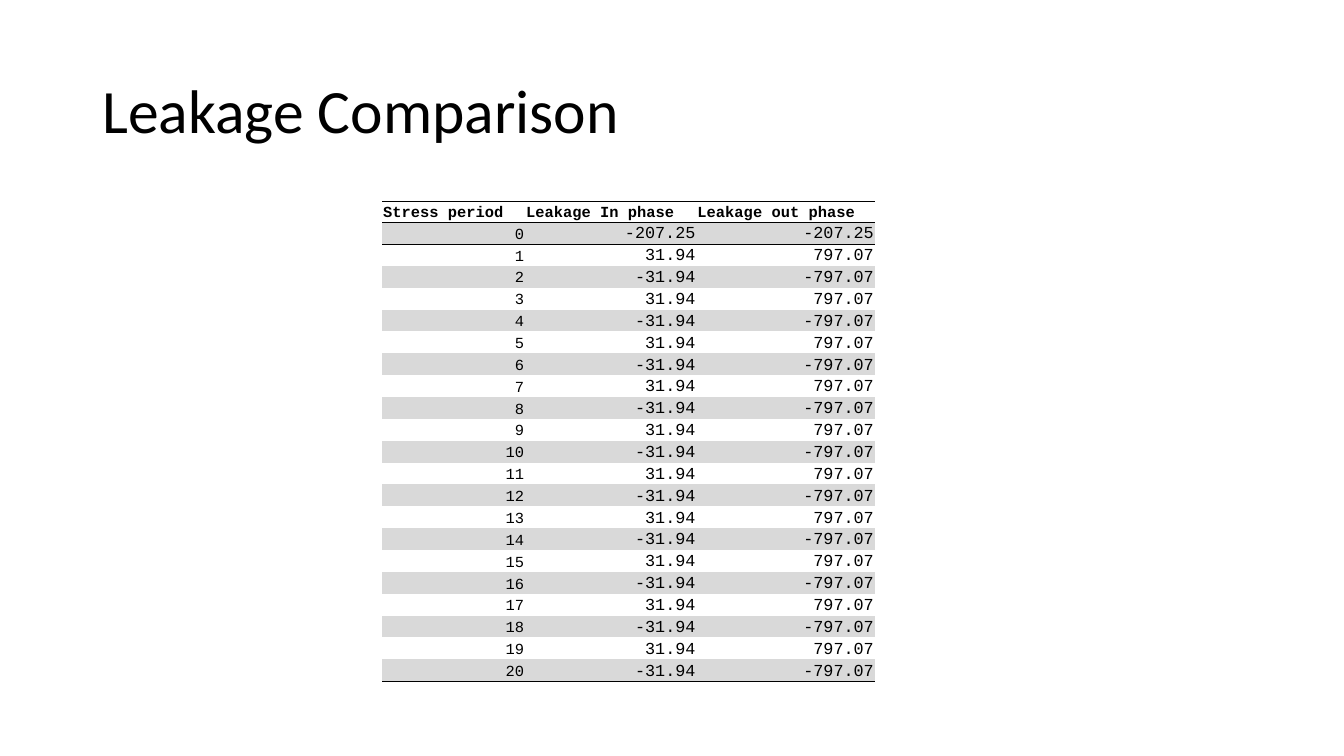
from lxml import etree
from pptx import Presentation
from pptx.dml.color import RGBColor
from pptx.enum.text import MSO_ANCHOR as Anchor, PP_ALIGN as Align
from pptx.oxml.ns import qn
from pptx.util import Pt

# Content
TITLE = "Leakage Comparison"
HEADERS = ["Stress period", "Leakage In phase", "Leakage out phase"]
FIRST_LEAKAGE = ("-207.25", "-207.25")
ODD_LEAKAGE = ("31.94", "797.07")
EVEN_LEAKAGE = ("-31.94", "-797.07")
LAST_PERIOD = 20

periods = [("0", *FIRST_LEAKAGE)]
for period in range(1, LAST_PERIOD + 1):
    periods.append((str(period), *(ODD_LEAKAGE if period % 2 else EVEN_LEAKAGE)))

# Format
BLACK = RGBColor(0x00, 0x00, 0x00)
BAND_GRAY = RGBColor(0xD9, 0xD9, 0xD9)
PLAIN_TABLE_STYLE = "{2D5ABB26-0587-4C30-8999-92F81FD0307C}"
COLUMN_WIDTHS = [102.2, 122.4, 127.4]
HEADER_HEIGHT, ROW_HEIGHT = 14.6, 15.62
TABLE_LEFT, TABLE_TOP = 272.9, 144
RULE_WIDTH = 0.5


def write_text(frame, text, font="Courier New", size=11, bold=False, align=Align.LEFT):
    paragraph = frame.paragraphs[0]
    paragraph.alignment = align
    run = paragraph.add_run()
    run.text = text
    run.font.name = font
    run.font.size = Pt(size)
    run.font.bold = bold
    run.font.color.rgb = BLACK
    return paragraph


def add_rules(cell, *sides):
    """Draw thin rules on the given sides; they go before the cell fill."""
    properties = cell._tc.get_or_add_tcPr()
    for position, side in enumerate(sides):
        line = etree.Element(qn(f"a:{side}"), w=str(Pt(RULE_WIDTH)))
        fill = etree.SubElement(line, qn("a:solidFill"))
        etree.SubElement(fill, qn("a:srgbClr"), val=str(BLACK))
        properties.insert(position, line)


presentation = Presentation()
presentation.slide_width, presentation.slide_height = Pt(960), Pt(540)
slide = presentation.slides.add_slide(presentation.slide_layouts[5])

# Title
title = slide.shapes.title
title.left, title.top, title.width, title.height = Pt(66), Pt(28.75), Pt(828), Pt(104.4)
title.text_frame.vertical_anchor = Anchor.MIDDLE
title.text_frame.word_wrap = True
write_text(title.text_frame, TITLE, font="Calibri", size=44).line_spacing = 0.9

# Table grid
rows = [HEADERS, *periods]
table_height = HEADER_HEIGHT + ROW_HEIGHT * len(periods)
table_frame = slide.shapes.add_table(
    len(rows), len(HEADERS), Pt(TABLE_LEFT), Pt(TABLE_TOP),
    Pt(sum(COLUMN_WIDTHS)), Pt(table_height))
table = table_frame.table
table.first_row = table.horz_banding = False
table._tbl.tblPr.find(qn("a:tableStyleId")).text = PLAIN_TABLE_STYLE
for column, width in zip(table.columns, COLUMN_WIDTHS):
    column.width = Pt(width)

# Table cells
for row_index, values in enumerate(rows):
    is_header = row_index == 0
    table.rows[row_index].height = Pt(HEADER_HEIGHT if is_header else ROW_HEIGHT)
    for column_index, value in enumerate(values):
        cell = table.cell(row_index, column_index)
        cell.vertical_anchor = Anchor.BOTTOM
        cell.margin_left = cell.margin_right = cell.margin_top = Pt(0.72)
        cell.margin_bottom = Pt(0)
        write_text(cell.text_frame, value, bold=is_header,
                   size=11 if is_header or column_index == 0 else 12,
                   align=Align.LEFT if is_header else Align.RIGHT)
        if row_index % 2:
            cell.fill.solid()
            cell.fill.fore_color.rgb = BAND_GRAY
        else:
            cell.fill.background()
        if is_header:
            add_rules(cell, "lnT", "lnB")
        elif row_index == 1:
            add_rules(cell, "lnT")
        elif row_index == len(rows) - 1:
            add_rules(cell, "lnB")

presentation.save("out.pptx")
